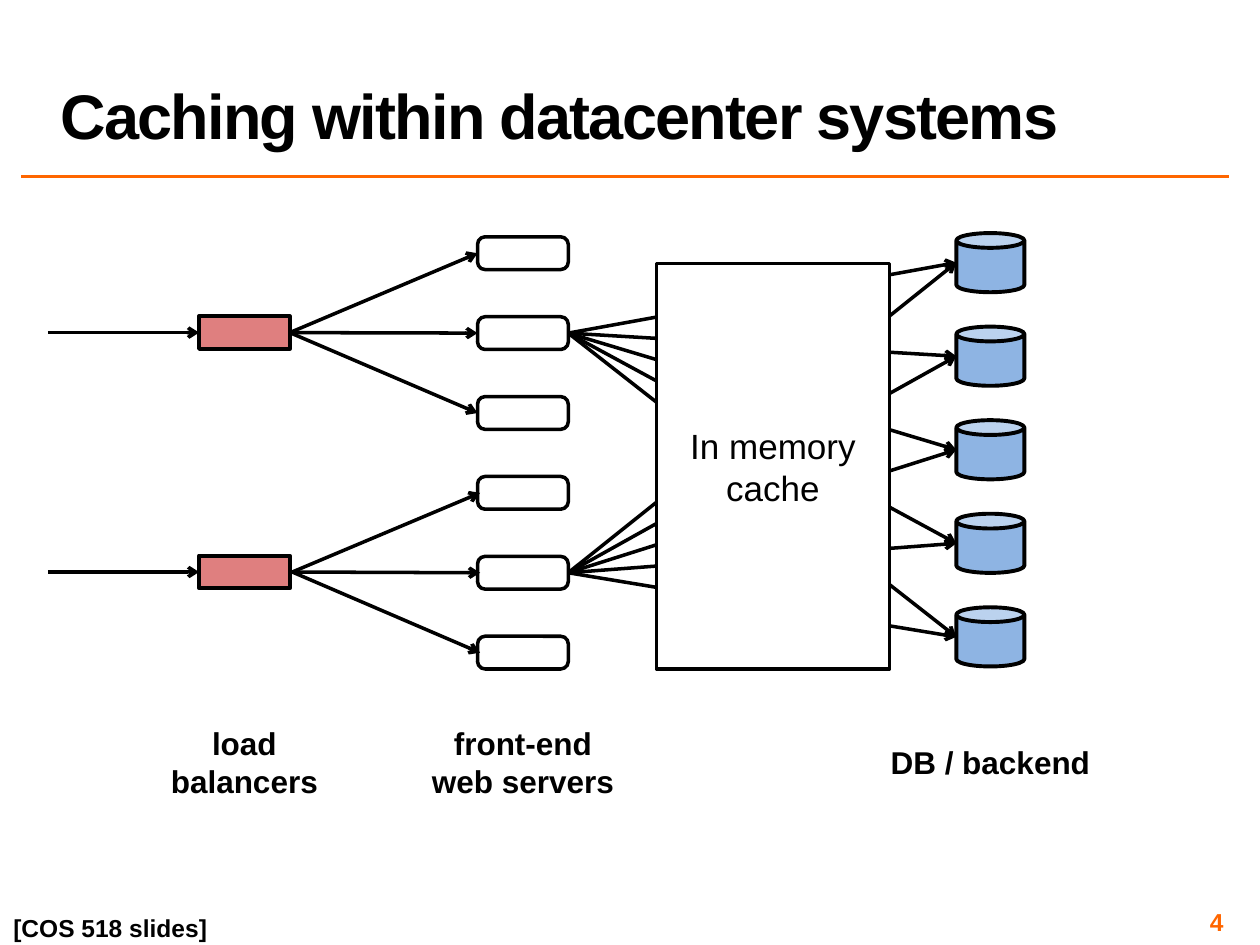
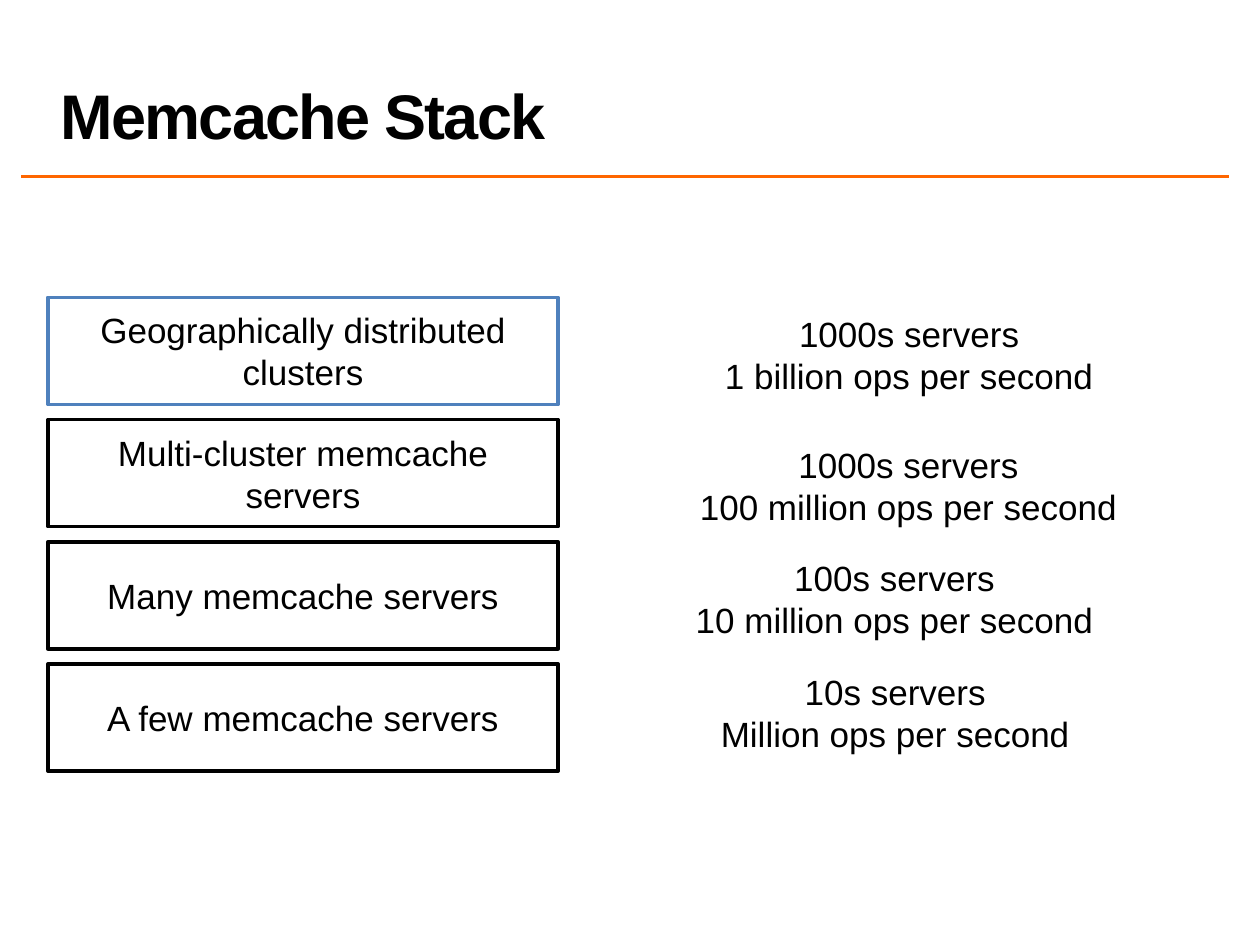
"""Build two slides on caching within datacenter systems."""
from typing import NamedTuple

from lxml import etree
from pptx import Presentation
from pptx.dml.color import RGBColor
from pptx.enum.shapes import MSO_CONNECTOR, MSO_SHAPE
from pptx.enum.text import MSO_ANCHOR, MSO_AUTO_SIZE, PP_ALIGN
from pptx.oxml.ns import qn
from pptx.util import Inches, Pt

BLACK = RGBColor(0x00, 0x00, 0x00)
WHITE = RGBColor(0xFF, 0xFF, 0xFF)
ORANGE = RGBColor(0xFF, 0x66, 0x00)
RED = RGBColor(0xC0, 0x00, 0x00)
LIGHT_BLUE = RGBColor(0x8E, 0xB4, 0xE3)
BLUE = RGBColor(0x4F, 0x81, 0xBD)
FONT = "Arial"
RECTANGLE = MSO_SHAPE.RECTANGLE
ROUNDED = MSO_SHAPE.ROUNDED_RECTANGLE
CAN = MSO_SHAPE.CAN
STRAIGHT = MSO_CONNECTOR.STRAIGHT
LEFT, CENTER, RIGHT = PP_ALIGN.LEFT, PP_ALIGN.CENTER, PP_ALIGN.RIGHT
MIDDLE, BOTTOM = MSO_ANCHOR.MIDDLE, MSO_ANCHOR.BOTTOM
NO_FIT, GROW = MSO_AUTO_SIZE.NONE, MSO_AUTO_SIZE.SHAPE_TO_FIT_TEXT
TITLE_ONLY = 5


class Box(NamedTuple):
    left: float
    top: float
    width: float
    height: float

    @property
    def right(self) -> float:
        return self.left + self.width

    @property
    def middle(self) -> float:
        return self.top + self.height / 2


class TextStyle(NamedTuple):
    size: float
    bold: bool = False
    color: RGBColor = BLACK
    align: PP_ALIGN = CENTER


class Label(NamedTuple):
    text: str
    box: Box
    wrap: bool = True


class Layer(NamedTuple):
    name: str
    outline: RGBColor
    load: Label


TITLE = TextStyle(36, True, align=LEFT)
BODY = TextStyle(20)
CAPTION = TextStyle(18, True)
SOURCE = TextStyle(14, True)
NUMBER = TextStyle(14, True, ORANGE, RIGHT)

TITLE_BOX = Box(0.38, 0.08, 9.37, 1.17)
CACHE_BOX = Box(5.21, 2.09, 1.85, 3.22)
CAPTIONS = [
    Label("load\nbalancers", Box(1.21, 5.7, 1.46, 0.71)),
    Label("front-end\nweb servers", Box(3.09, 5.7, 2.12, 0.71)),
    Label("DB / backend", Box(6.8, 5.85, 2.12, 0.4)),
]
LAYERS = [
    Layer("Geographically distributed clusters", BLUE,
          Label("1000s servers\n1 billion ops per second", Box(5.64, 2.43, 3.15, 0.77), False)),
    Layer("Multi-cluster memcache servers", BLACK,
          Label("1000s servers\n100 million ops per second", Box(5.44, 3.47, 3.54, 0.77), False)),
    Layer("Many memcache servers", BLACK,
          Label("100s servers\n10 million ops per second", Box(5.41, 4.37, 3.38, 0.77), False)),
    Layer("A few memcache servers", BLACK,
          Label("10s servers\nMillion ops per second", Box(5.61, 5.27, 2.99, 0.77), False)),
]


def column(first: Box, last_top: float, count: int) -> list[Box]:
    """Return equally spaced boxes from the first one down to last_top."""
    pitch = (last_top - first.top) / (count - 1)
    return [first._replace(top=first.top + pitch * index) for index in range(count)]


def place(shape, box: Box) -> None:
    """Move and size a shape."""
    shape.left, shape.top = Inches(box.left), Inches(box.top)
    shape.width, shape.height = Inches(box.width), Inches(box.height)


def write(text_frame, text: str, style: TextStyle) -> None:
    """Fill a text frame and format its runs."""
    text_frame.text = text
    for paragraph in text_frame.paragraphs:
        paragraph.alignment = style.align
        for run in paragraph.runs:
            run.font.name = FONT
            run.font.size = Pt(style.size)
            run.font.bold = style.bold
            run.font.color.rgb = style.color


def add_label(slide, label: Label, style: TextStyle):
    """Add a text box that grows with its text."""
    text_box = slide.shapes.add_textbox(*map(Inches, label.box))
    text_frame = text_box.text_frame
    write(text_frame, label.text, style)
    text_frame.word_wrap = label.wrap
    text_frame.auto_size = GROW
    return text_box


def add_box(slide, kind: MSO_SHAPE, box: Box, fill: RGBColor | None = None,
            outline: RGBColor = BLACK, weight: float = 2, text: str = ""):
    """Add an outlined shape, optionally filled and labelled."""
    shape = slide.shapes.add_shape(kind, *map(Inches, box))
    shape.shadow.inherit = False
    if fill is None:
        shape.fill.background()
    else:
        shape.fill.solid()
        shape.fill.fore_color.rgb = fill
    shape.line.color.rgb = outline
    shape.line.width = Pt(weight)
    if text:
        write(shape.text_frame, text, BODY)
        shape.text_frame.vertical_anchor = MIDDLE
    return shape


def add_line(slide, start: tuple[float, float], end: tuple[float, float],
             color: RGBColor = BLACK, arrow: bool = True) -> None:
    """Add a straight line, with an arrowhead at its end if wanted."""
    connector = slide.shapes.add_connector(STRAIGHT, *map(Inches, (*start, *end)))
    connector.line.color.rgb = color
    connector.line.width = Pt(2)
    if arrow:
        etree.SubElement(connector.line._get_or_add_ln(), qn("a:tailEnd"), type="arrow")
    etree.SubElement(connector._element.spPr, qn("a:effectLst"))


def add_titled_slide(presentation, title: str):
    """Add a slide with the shared title style and orange rule."""
    slide = presentation.slides.add_slide(presentation.slide_layouts[TITLE_ONLY])
    add_line(slide, (0.17, 1.4), (9.75, 1.4), ORANGE, arrow=False)
    title_shape = slide.shapes.title
    place(title_shape, TITLE_BOX)
    text_frame = title_shape.text_frame
    write(text_frame, title, TITLE)
    text_frame.vertical_anchor = BOTTOM
    text_frame.auto_size = NO_FIT
    paragraph = text_frame.paragraphs[0]
    paragraph.line_spacing = 0.8
    paragraph.runs[0].font._element.set("spc", "-100")
    return slide


def add_slide_number(slide, number: int) -> None:
    """Add the slide number in the lower right corner."""
    text_box = slide.shapes.add_textbox(*map(Inches, Box(7.42, 7.2, 2.33, 0.23)))
    text_frame = text_box.text_frame
    write(text_frame, str(number), NUMBER)
    text_frame.word_wrap = True
    text_frame.vertical_anchor = MIDDLE
    text_frame.margin_left = text_frame.margin_right = Inches(0.04)
    text_frame.margin_top = text_frame.margin_bottom = Inches(0.04)


def build_datacenter_slide(presentation) -> None:
    """Draw the path from load balancers through the cache to the databases."""
    slide = add_titled_slide(presentation, "Caching within datacenter systems")
    add_slide_number(slide, 4)
    balancers = column(Box(1.58, 2.51, 0.72, 0.26), 4.41, 2)
    servers = column(Box(3.79, 1.88, 0.72, 0.26), 5.05, 6)
    databases = column(Box(7.59, 1.85, 0.54, 0.47), 4.82, 5)

    for balancer in balancers:
        shape = add_box(slide, RECTANGLE, balancer, RED, weight=2.25)
        color = shape._element.spPr.find(qn("a:solidFill")).find(qn("a:srgbClr"))
        etree.SubElement(color, qn("a:alpha"), val="50000")
    for server in servers:
        add_box(slide, ROUNDED, server).adjustments[0] = 0.23
    for database in databases:
        add_box(slide, CAN, database, LIGHT_BLUE, weight=2.25)

    for index, (balancer, shift) in enumerate(zip(balancers, (0, 0.02))):
        pool = servers[3 * index:3 * index + 3]
        add_line(slide, (0.38, balancer.middle), (balancer.left, balancer.middle))
        for server in pool:
            add_line(slide, (balancer.right + shift, balancer.middle),
                     (server.left + shift, server.middle))
        for database in databases:
            add_line(slide, (pool[1].right, pool[1].middle), (database.left, database.middle))

    add_box(slide, RECTANGLE, CACHE_BOX, WHITE, text="In memory cache")
    for caption in CAPTIONS:
        add_label(slide, caption, CAPTION)
    add_label(slide, Label("[COS 518 slides]", Box(0, 7.2, 1.75, 0.34), False), SOURCE)


def build_stack_slide(presentation) -> None:
    """Draw the memcache layers beside the load each one carries."""
    slide = add_titled_slide(presentation, "Memcache Stack")
    boxes = column(Box(0.38, 2.36, 4.05, 0.85), 5.27, len(LAYERS))
    for layer, box in zip(LAYERS, boxes):
        add_box(slide, RECTANGLE, box, WHITE, layer.outline, text=layer.name)
        add_label(slide, layer.load, BODY)


def main() -> None:
    """Build and save the presentation."""
    presentation = Presentation()
    presentation.slide_width, presentation.slide_height = Inches(10), Inches(7.5)
    build_datacenter_slide(presentation)
    build_stack_slide(presentation)
    presentation.save("out.pptx")


if __name__ == "__main__":
    main()
